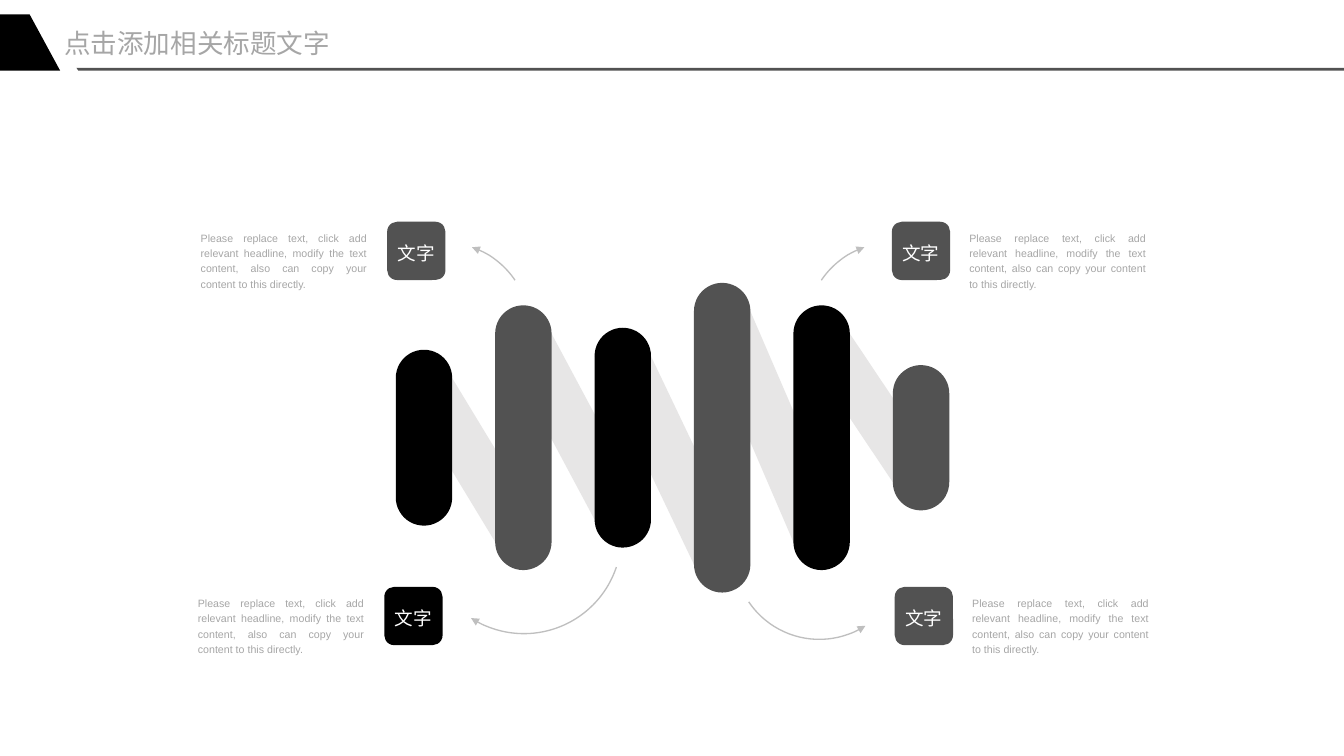
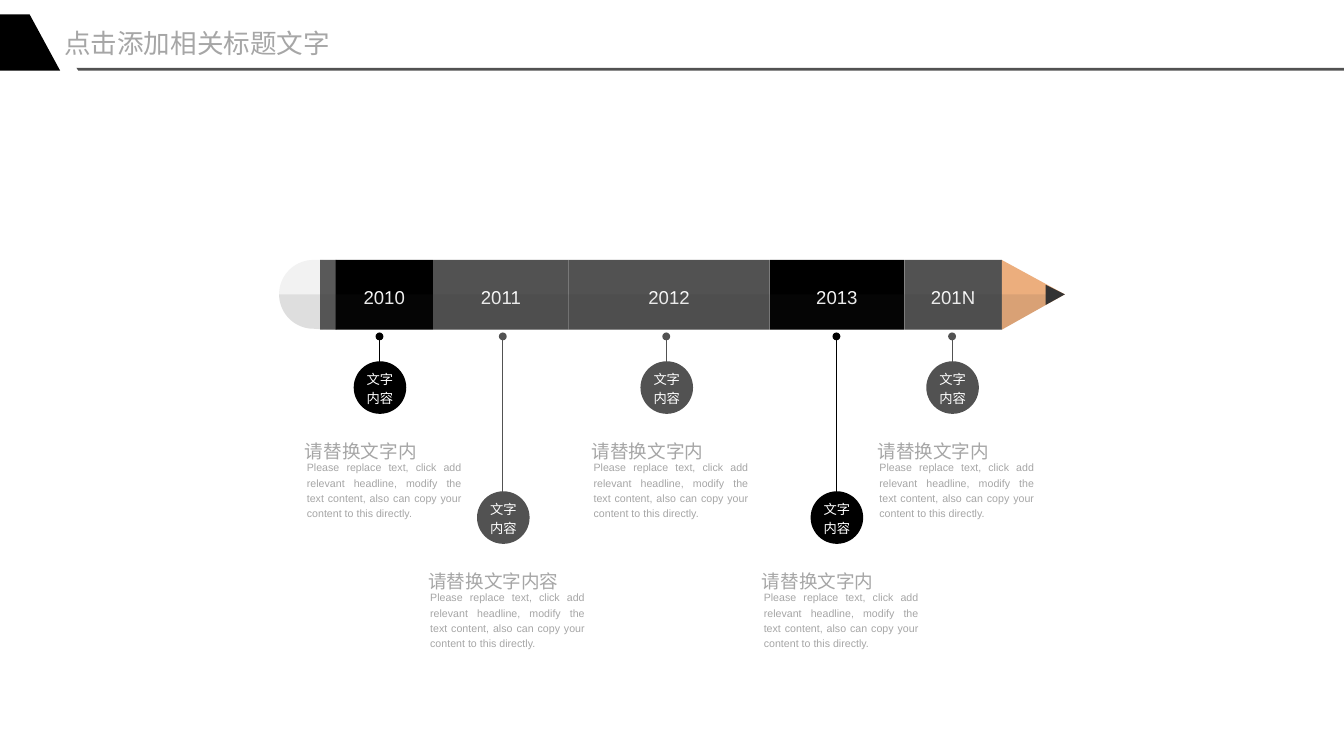
"""Build a bar chain slide and a pencil timeline slide."""
from itertools import pairwise
from math import cos, radians, sin

from lxml import etree
from pptx import Presentation
from pptx.dml.color import RGBColor
from pptx.enum.shapes import MSO_CONNECTOR, MSO_SHAPE
from pptx.enum.text import MSO_ANCHOR, MSO_AUTO_SIZE, PP_ALIGN
from pptx.oxml.ns import qn
from pptx.util import Inches, Pt

RECT, ROUND = MSO_SHAPE.RECTANGLE, MSO_SHAPE.ROUNDED_RECTANGLE
OVAL, ARC = MSO_SHAPE.OVAL, MSO_SHAPE.ARC
LINE = MSO_CONNECTOR.STRAIGHT
LEFT, CENTER, FULL = PP_ALIGN.LEFT, PP_ALIGN.CENTER, PP_ALIGN.JUSTIFY
MIDDLE, GROW = MSO_ANCHOR.MIDDLE, MSO_AUTO_SIZE.SHAPE_TO_FIT_TEXT

BLACK, DARK, GRAY, WHITE = "000000", "525252", "A6A6A6", "FFFFFF"
PALE, CURVE, SHADE = "E7E6E6", "BFBFBF", "333333"
WIDE, HIGH = 14.06, 7.91
BODY = ("Please replace text, click add relevant headline, modify the text "
        "content, also can copy your content to this directly.")
FLUSH = {"word_wrap": True, "margin_left": 0, "margin_right": 0,
         "margin_top": 0, "margin_bottom": 0}


def color(code):
    """Turn a hex string into a colour."""
    return RGBColor.from_string(code)


def apply(item, values):
    """Set each attribute from a dict of values."""
    for key, value in values.items():
        setattr(item, key, value)


def paint(shape, fill, alpha=None):
    """Give a shape a plain fill without line or shadow."""
    shape.shadow.inherit = False
    shape.line.fill.background()
    shape.fill.solid()
    shape.fill.fore_color.rgb = color(fill)
    if alpha:
        tone = shape._element.spPr.find(qn("a:solidFill"))[0]
        etree.SubElement(tone, qn("a:alpha"), val=str(alpha * 1000))


def write(shape, text, size, tone, align, frame, para):
    """Put one formatted paragraph into a shape."""
    apply(shape.text_frame, FLUSH | frame)
    line = shape.text_frame.paragraphs[0]
    line.text = text
    apply(line, {"alignment": align} | para)
    apply(line.font, {"size": Pt(size), "name": "Arial"})
    line.font.color.rgb = color(tone)


def label(slide, x, y, w, h, text, size, align=LEFT, para=None):
    """Add a gray text box."""
    box = slide.shapes.add_textbox(*map(Inches, (x, y, w, h)))
    write(box, text, size, GRAY, align, {"auto_size": GROW},
          para or {"line_spacing": 1.2})


def block(slide, kind, x, y, w, h, fill, text="", size=14, adj=None, alpha=None):
    """Add a filled preset shape with optional white text."""
    shape = slide.shapes.add_shape(kind, *map(Inches, (x, y, w, h)))
    paint(shape, fill, alpha)
    if adj is not None:
        shape.adjustments[0] = adj
    if text:
        write(shape, text, size, WHITE, CENTER,
              {"vertical_anchor": MIDDLE}, {"line_spacing": 1.2})


def outline(slide, points, fill, alpha=None):
    """Add a filled polygon through points in inches."""
    spots = [(Inches(x), Inches(y)) for x, y in points]
    form = slide.shapes.build_freeform(*spots[0])
    form.add_line_segments(spots[1:], close=True)
    paint(form.convert_to_shape(), fill, alpha)


def stroke(shape, tone, width, end):
    """Set the line of a shape and the mark at its end."""
    shape.line.color.rgb = color(tone)
    shape.line.width = Pt(width)
    line = shape._element.spPr.find(qn("a:ln"))
    etree.SubElement(line, qn("a:tailEnd"), type=end)


def bow(slide, x, y, size, turn, span, flips):
    """Add a curved arrow."""
    shape = slide.shapes.add_shape(ARC, *map(Inches, (x, y, size, size)))
    shape.shadow.inherit = False
    shape.fill.background()
    shape.rotation = turn
    shape.adjustments[0], shape.adjustments[1] = span
    for axis in flips:
        shape._element.spPr.xfrm.set("flip" + axis, "1")
    stroke(shape, CURVE, 1, "triangle")


def header(slide):
    """Add the title, corner mark and rule."""
    outline(slide, [(0.8, 0.71), (WIDE, 0.71), (WIDE, 0.74), (0.82, 0.74)], DARK)
    outline(slide, [(0.31, 0.15), (0.63, 0.74), (0, 0.74), (0, 0.15)], BLACK)
    label(slide, 0.67, 0.28, 3.35, 0.34, "点击添加相关标题文字", 20,
          para={"space_after": Pt(6)})


def chain(slide):
    """Add the upright bars and the ribbons that join them."""
    left, mid, wide, step = 4.14, 4.58, 0.59, 1.04
    highs = [1.84, 2.77, 2.3, 3.24, 2.77, 1.52]
    for i, (one, two) in reversed(list(enumerate(pairwise(highs)))):
        x, top = left + i * step, mid - (one - wide) / 2
        low = mid + (two - wide) / 2
        outline(slide, [(x, top), (x + wide, top),
                        (x + wide + step, low), (x + step, low)], PALE)
    for i, high in enumerate(highs):
        block(slide, ROUND, left + i * step, mid - high / 2, wide, high,
              (BLACK, DARK)[i % 2], adj=0.5)


def tile(slide, x, y, fill, shift, width):
    """Add a tile with its text beside it."""
    label(slide, x + shift, y + 0.08, width, 0.63, BODY, 8, FULL)
    block(slide, ROUND, x, y, 0.61, 0.61, fill, "文字", adj=0.17)


def bend(start, stop):
    """Give points along the round end of the pencil."""
    return [(3.28 + 0.36 * cos(radians(a)), 3.08 + 0.36 * sin(radians(a)))
            for a in range(start, stop + 1, 5)]


def pencil(slide):
    """Add the pencil with one segment for each year."""
    top, mid, low, high = 2.72, 3.08, 3.45, 0.73
    outline(slide, [(3.38, low), *bend(90, 270), (3.38, top)], "F2F2F2")
    block(slide, RECT, 3.35, top, 0.17, high, "595959")
    outline(slide, [(3.51, mid), (3.51, low), *bend(90, 180)], SHADE, 10)
    edges = [3.51, 4.53, 5.95, 8.05, 9.46, 10.48]
    years = [("2010", BLACK), ("2011", DARK), ("2012", DARK),
             ("2013", BLACK), ("201N", DARK)]
    for (x, end), (year, fill) in zip(pairwise(edges), years):
        block(slide, RECT, x, top, end - x, high, fill, year)
        block(slide, RECT, x, mid, end - x, low - mid, SHADE, alpha=10)
    tip = (11.14, mid)
    outline(slide, [tip, (10.48, top), (10.48, low)], "ECAE7D")
    outline(slide, [tip, (10.94, 3.19), (10.94, 2.98)], SHADE)
    outline(slide, [tip, (10.48, low), (10.48, mid)], SHADE, 10)


def pin(slide, x, y, fill, head):
    """Add a disc hung from the pencil, with its text below."""
    spots = map(Inches, (x, y + 0.1, x, 3.52))
    stem = slide.shapes.add_connector(LINE, *spots)
    stroke(stem, fill, 0.5, "oval")
    etree.SubElement(stem._element.spPr, qn("a:effectLst"))
    block(slide, OVAL, x - 0.27, y, 0.55, 0.55, fill, "文字内容", 10)
    label(slide, x - 0.76, y + 1.02, 1.62, 0.65, BODY, 8, FULL)
    label(slide, x - 0.78, y + 0.78, 1.55, 0.28, head, 14)


def main():
    """Build and save both slides."""
    deck = Presentation()
    apply(deck, {"slide_width": Inches(WIDE), "slide_height": Inches(HIGH)})
    bars, years = (deck.slides.add_slide(deck.slide_layouts[6]) for _ in range(2))

    chain(bars)
    for x, y, fill, shift, width in [
            (9.33, 2.32, DARK, 0.81, 1.85), (9.36, 6.14, DARK, 0.81, 1.85),
            (4.05, 2.32, DARK, -1.95, 1.74), (4.02, 6.14, BLACK, -1.95, 1.74)]:
        tile(bars, x, y, fill, shift, width)
    short = (170.14, 192.43)
    for x, y, size, turn, span, flips in [
            (7.68, 4.91, 1.78, 249.6, (170.14, 7.46), "H"),
            (8.44, 2.54, 1.78, 110.4, short, "HV"),
            (4.46, 4.59, 2.04, 110.4, (160.87, 7.46), ""),
            (3.76, 2.54, 1.78, 249.6, short, "V")]:
        bow(bars, x, y, size, turn, span, flips)
    header(bars)

    pencil(years)
    near, far, head = 3.78, 5.14, "请替换文字内"
    for x, y, fill, text in [
            (3.97, near, BLACK, head), (6.97, near, DARK, head),
            (5.26, far, DARK, head + "容"), (8.75, far, BLACK, head),
            (9.96, near, DARK, head)]:
        pin(years, x, y, fill, text)
    header(years)
    deck.save("out.pptx")


if __name__ == "__main__":
    main()
